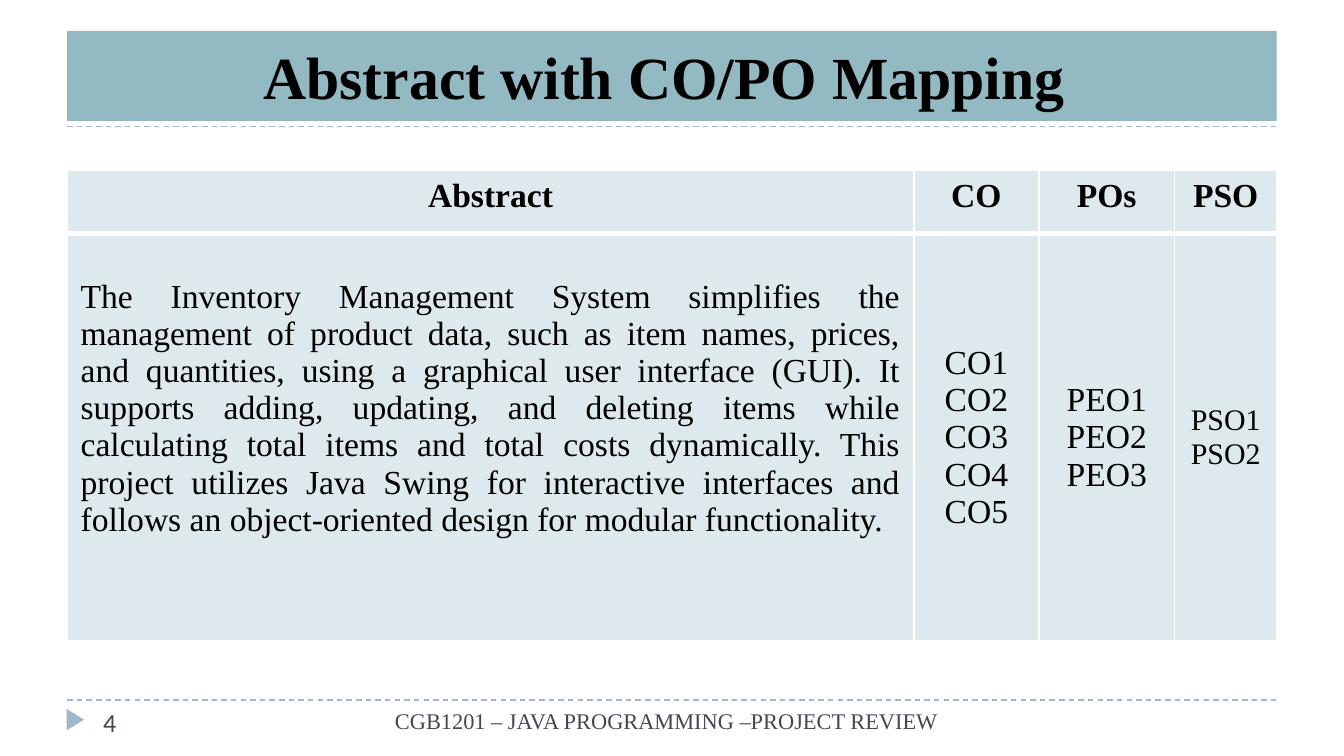
from dataclasses import dataclass
from typing import Any

from lxml.etree import SubElement as Sub
from pptx import Presentation
from pptx.dml.color import RGBColor as Rgb
from pptx.enum.dml import MSO_LINE_DASH_STYLE as Dash
from pptx.enum.shapes import MSO_CONNECTOR as Link, MSO_SHAPE as Kind
from pptx.enum.text import MSO_ANCHOR as Anchor, PP_ALIGN as Align
from pptx.oxml.ns import qn
from pptx.util import Inches, Pt


@dataclass(frozen=True)
class Theme:
    ink: str = "000000"
    muted: str = "464653"
    rule: str = "9FB8CD"
    band: str = "93B9C3"
    tint: str = "DDE9EC"
    edge: str = "FFFFFF"
    serif: str = "Times New Roman"
    sans: str = "Calibri"
    title: int = 32
    body: int = 18
    small: int = 16
    page: int = 14
    foot: int = 12


@dataclass(frozen=True)
class Style:
    size: int
    color: str
    font: str = Theme.serif
    bold: bool = False
    align: Any = Align.CENTER


@dataclass(frozen=True)
class Box:
    left: float
    top: float
    width: float
    height: float

    def place(self) -> list:
        return [Inches(n) for n in (self.left, self.top, self.width, self.height)]


@dataclass(frozen=True)
class Column:
    width: float
    head: str
    lines: tuple
    style: Style
    format: dict


@dataclass(frozen=True)
class Label:
    box: Box
    text: str
    style: Style


theme = Theme()
left, right = 0.5, 9.5
wide = Inches(10)
rows = (0.47, 3.03)
rules = (5.21, 0.94)
head = Style(theme.body, theme.ink, bold=True)
plain = Style(theme.body, theme.ink)
middle = {"vertical_anchor": Anchor.MIDDLE}

columns = (
    Column(
        6.3,
        "Abstract",
        (
            "The Inventory Management System simplifies the management of product data, "
            "such as item names, prices, and quantities, using a graphical user interface "
            "(GUI). It supports adding, updating, and deleting items while calculating "
            "total items and total costs dynamically. This project utilizes Java Swing "
            "for interactive interfaces and follows an object-oriented design for modular "
            "functionality.",
        ),
        Style(theme.body, theme.ink, align=Align.JUSTIFY),
        {"vertical_anchor": Anchor.TOP, "margin_top": Inches(0.33)},
    ),
    Column(0.93, "CO", tuple(f"CO{n}" for n in range(1, 6)), plain, middle),
    Column(1.01, "POs", tuple(f"PEO{n}" for n in range(1, 4)), plain, middle),
    Column(0.76, "PSO", ("PSO1", "PSO2"), Style(theme.small, theme.ink), middle),
)

labels = (
    Label(
        Box(0.67, 5.21, 2.17, 0.3),
        "4",
        Style(theme.page, theme.muted, theme.sans, align=Align.LEFT),
    ),
    Label(
        Box(2.84, 5.21, 5.29, 0.3),
        "CGB1201 – JAVA PROGRAMMING –PROJECT REVIEW",
        Style(theme.foot, theme.muted, align=Align.LEFT),
    ),
)


def apply(target: Any, format: dict) -> None:
    for name, value in format.items():
        setattr(target, name, value)


def paint(target: Any, color: str) -> None:
    target.fill.solid()
    target.fill.fore_color.rgb = Rgb.from_string(color)


def write(frame: Any, lines: tuple, style: Style) -> None:
    frame.word_wrap = True
    for spot, line in enumerate(lines):
        para = frame.add_paragraph() if spot else frame.paragraphs[0]
        para.alignment = style.align
        run = para.add_run()
        run.text = line
        apply(run.font, {"size": Pt(style.size), "name": style.font, "bold": style.bold})
        run.font.color.rgb = Rgb.from_string(style.color)


def border(cell: Any, widths: dict) -> None:
    props = cell._tc.get_or_add_tcPr()
    for spot, (side, width) in enumerate(widths.items()):
        line = props.makeelement(qn(f"a:ln{side}"), {"w": str(Pt(width))})
        fill = Sub(line, qn("a:solidFill"))
        Sub(fill, qn("a:srgbClr"), val=theme.edge)
        props.insert(spot, line)


def draw_rule(slide: Any, top: float) -> None:
    line = slide.shapes.add_connector(
        Link.STRAIGHT, Inches(left), Inches(top), Inches(right), Inches(top)
    )
    apply(line.line, {"width": Pt(0.75), "dash_style": Dash.DASH})
    line.line.color.rgb = Rgb.from_string(theme.rule)
    Sub(line._element.spPr, qn("a:effectLst"))


def draw_shape(slide: Any, kind: Any, box: Box, color: str) -> Any:
    shape = slide.shapes.add_shape(kind, *box.place())
    shape.shadow.inherit = False
    paint(shape, color)
    shape.line.fill.background()
    return shape


def draw_label(slide: Any, label: Label) -> None:
    text = slide.shapes.add_textbox(*label.box.place())
    write(text.text_frame, (label.text,), label.style)


def draw_table(slide: Any) -> None:
    box = Box(left, 1.27, right - left, sum(rows))
    table = slide.shapes.add_table(len(rows), len(columns), *box.place()).table
    for row, height in zip(table.rows, rows):
        row.height = Inches(height)
    for spot, column in enumerate(columns):
        table.columns[spot].width = Inches(column.width)
        top, body = table.cell(0, spot), table.cell(1, spot)
        write(top.text_frame, (column.head,), head)
        write(body.text_frame, column.lines, column.style)
        apply(body, column.format)
        for cell, upper, lower in ((top, 1, 3), (body, 3, 1)):
            paint(cell, theme.tint)
            border(cell, {"L": 1, "R": 1, "T": upper, "B": lower})


def main() -> None:
    deck = Presentation()
    apply(deck, {"slide_width": wide, "slide_height": wide * 9 // 16})
    slide = deck.slides.add_slide(deck.slide_layouts[6])
    for top in rules:
        draw_rule(slide, top)
    mark = draw_shape(slide, Kind.ISOSCELES_TRIANGLE, Box(0.48, 5.29, 0.16, 0.13), theme.rule)
    mark.rotation = 90
    draw_table(slide)
    for label in labels:
        draw_label(slide, label)
    title = draw_shape(slide, Kind.RECTANGLE, Box(left, 0.23, right - left, 0.67), theme.band)
    title.text_frame.vertical_anchor = Anchor.MIDDLE
    write(
        title.text_frame,
        ("Abstract with CO/PO Mapping ",),
        Style(theme.title, theme.ink, bold=True),
    )
    deck.save("out.pptx")


if __name__ == "__main__":
    main()
